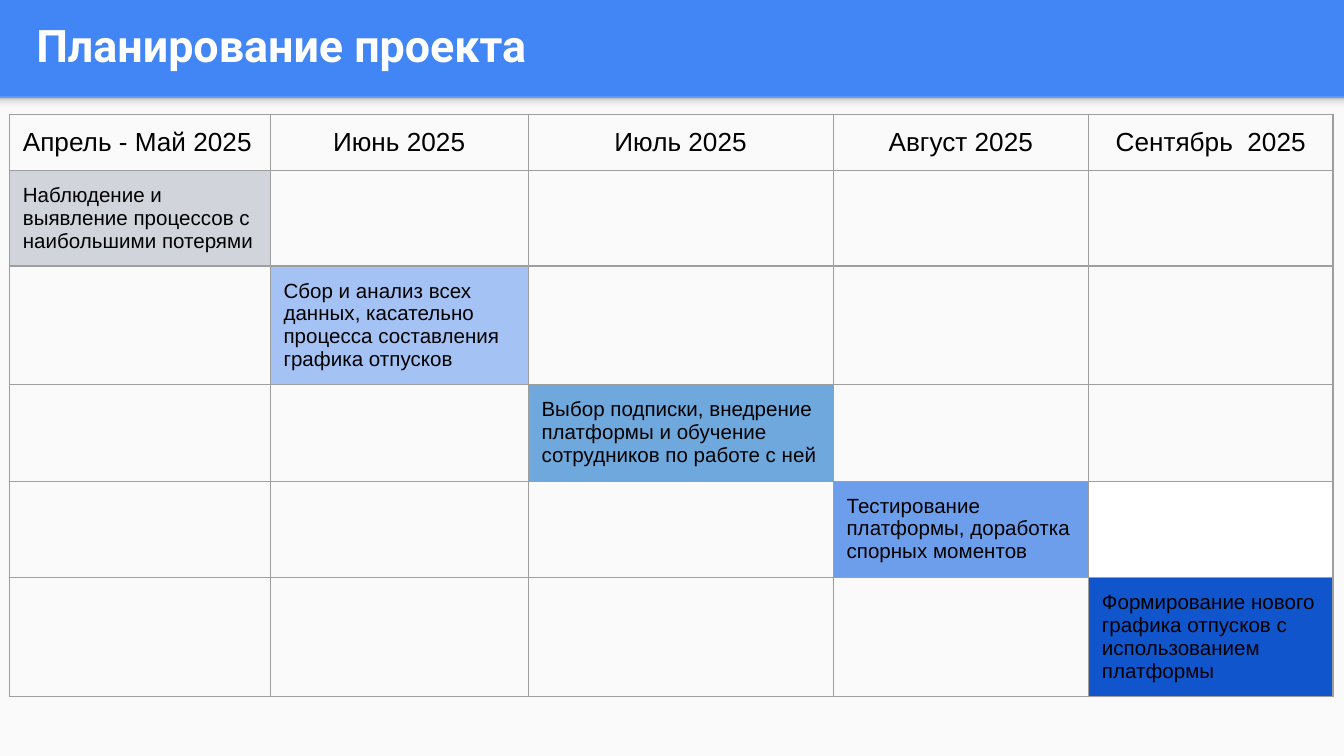
from lxml import etree
from pptx import Presentation
from pptx import util as u
from pptx.dml.color import RGBColor
from pptx.enum import shapes, text
from pptx.oxml import ns

PX = u.Inches(0.01)
BLUE = RGBColor(0x42, 0x85, 0xF4)
PAPER = RGBColor(0xFA, 0xFA, 0xFA)
WHITE = RGBColor(0xFF, 0xFF, 0xFF)
BLACK = RGBColor(0, 0, 0)
GRID = RGBColor(0x9E, 0x9E, 0x9E)
SHADE = [
    (0, RGBColor(0xF9, 0xF9, 0xF9)),
    (36, RGBColor(0xF9, 0xF9, 0xF9)),
    (80, RGBColor(0xDE, 0xDE, 0xDE)),
    (100, RGBColor(0x99, 0x99, 0x99)),
]
COLS = [194, 192, 227, 190, 182]
ROWS = [38, 71, 86, 72, 72, 77]
STAGES = [
    ("Апрель - Май 2025", "Наблюдение и выявление процессов с наибольшими потерями",
     RGBColor(0xD1, 0xD5, 0xDB)),
    ("Июнь 2025", "Сбор и анализ всех данных, касательно процесса составления графика отпусков",
     RGBColor(0xA4, 0xC2, 0xF4)),
    ("Июль 2025", "Выбор подписки, внедрение платформы и обучение сотрудников по работе с ней",
     RGBColor(0x6F, 0xA8, 0xDC)),
    ("Август 2025", "Тестирование платформы, доработка спорных моментов",
     RGBColor(0x6D, 0x9E, 0xEB)),
    ("Сентябрь  2025", "Формирование нового графика отпусков с использованием платформы",
     RGBColor(0x11, 0x55, 0xCC)),
]


def scale(*lengths):
    return [n * PX for n in lengths]


def set_font(font, name, size, color, bold=False):
    font.name, font.size, font.bold = name, u.Pt(size), bold
    font.color.rgb = color


def set_margins(box):
    box.margin_left = box.margin_right = box.margin_top = box.margin_bottom = 10 * PX


def add_rect(s, x, y, w, h):
    sp = s.shapes.add_shape(shapes.MSO_SHAPE.RECTANGLE, *scale(x, y, w, h))
    sp.shadow.inherit = False
    sp.line.fill.background()
    return sp


def add_backdrop(s, x, y, w, h):
    body = add_rect(s, x, y, w, h)
    body.fill.solid()
    body.fill.fore_color.rgb = PAPER
    band = add_rect(s, x, y, w, 12)
    band.fill.gradient()
    band.fill.gradient_angle = 90
    stops = band._element.spPr.find(".//" + ns.qn("a:gsLst"))
    for old in list(stops):
        stops.remove(old)
    for pos, color in SHADE:
        stop = etree.SubElement(stops, ns.qn("a:gs"), pos=str(pos * 1000))
        etree.SubElement(stop, ns.qn("a:srgbClr"), val=str(color))


def add_title(s, x, y, w, h):
    sp = s.shapes.title
    sp.left, sp.top, sp.width, sp.height = scale(x, y, w, h)
    tf = sp.text_frame
    tf.text = "Планирование проекта"
    tf.word_wrap = True
    tf.vertical_anchor = text.MSO_ANCHOR.MIDDLE
    set_margins(tf)
    p = tf.paragraphs[0]
    p.alignment = text.PP_ALIGN.LEFT
    set_font(p.runs[0].font, "Roboto", 24, WHITE, True)
    tree = s.shapes._spTree
    tree.remove(sp._element)
    tree.append(sp._element)


def add_borders(cell):
    tcPr = cell._tc.get_or_add_tcPr()
    for side in ("lnL", "lnR", "lnT", "lnB"):
        ln = etree.SubElement(tcPr, ns.qn("a:" + side), w=str(u.Pt(0.75)))
        fill = etree.SubElement(ln, ns.qn("a:solidFill"))
        etree.SubElement(fill, ns.qn("a:srgbClr"), val=str(GRID))


def fill_cell(cell, color):
    cell.fill.solid()
    cell.fill.fore_color.rgb = color


def write_cell(cell, words, size, align=text.PP_ALIGN.LEFT):
    cell.text = words
    p = cell.text_frame.paragraphs[0]
    p.alignment = align
    set_font(p.runs[0].font, "Arial", size, BLACK)


def add_schedule(s, x, y):
    frame = s.shapes.add_table(len(ROWS), len(COLS), *scale(x, y, sum(COLS), sum(ROWS)))
    table = frame.table
    table.first_row = table.horz_banding = False
    for col, w in zip(table.columns, COLS):
        col.width = w * PX
    for row, h in zip(table.rows, ROWS):
        row.height = h * PX
    for cell in table.iter_cells():
        set_margins(cell)
        add_borders(cell)
        cell.fill.background()
    for i, (month, task, color) in enumerate(STAGES):
        align = text.PP_ALIGN.CENTER if i else text.PP_ALIGN.LEFT
        write_cell(table.cell(0, i), month, 14, align)
        write_cell(table.cell(i + 1, i), task, 11)
        fill_cell(table.cell(i + 1, i), color)
    fill_cell(table.cell(4, 4), WHITE)


def main():
    prs = Presentation()
    prs.slide_width = 1000 * PX
    prs.slide_height = prs.slide_width * 9 // 16
    s = prs.slides.add_slide(prs.slide_layouts[5])
    s.background.fill.solid()
    s.background.fill.fore_color.rgb = BLUE
    add_backdrop(s, 0, 72, 1000, 491)
    add_title(s, 17, 0, 965, 66)
    add_schedule(s, 7, 85)
    prs.save("out.pptx")


if __name__ == "__main__":
    main()
